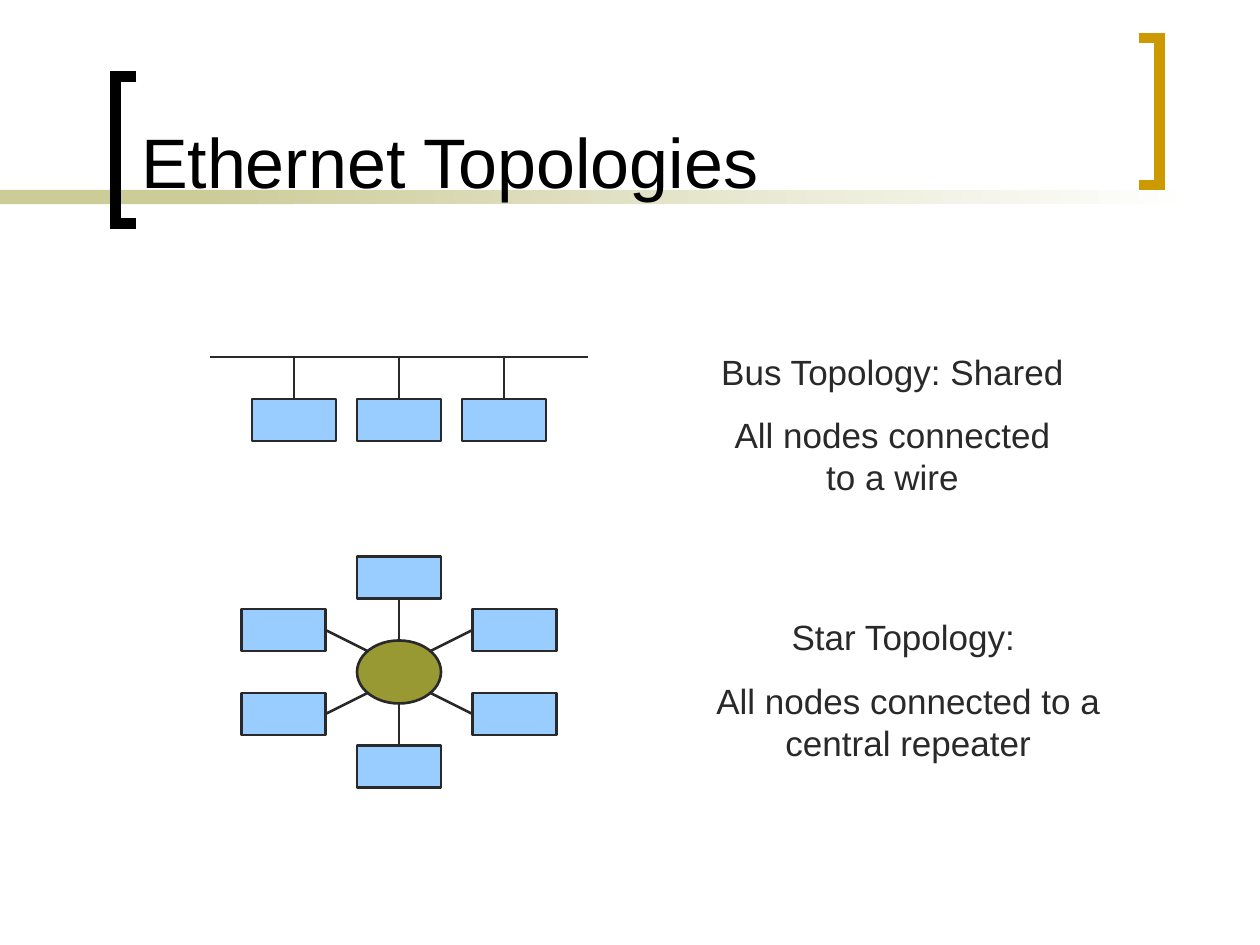
"""Build a slide comparing the bus and star Ethernet topologies."""
from typing import NamedTuple

from lxml import etree
from pptx import Presentation
from pptx.dml.color import RGBColor
from pptx.enum.shapes import MSO_CONNECTOR, MSO_SHAPE
from pptx.enum.text import MSO_ANCHOR, PP_ALIGN
from pptx.oxml.ns import qn
from pptx.util import Inches, Pt

RECTANGLE = MSO_SHAPE.RECTANGLE
OVAL = MSO_SHAPE.OVAL
STRAIGHT = MSO_CONNECTOR.STRAIGHT
TOP, LEFT, BOTTOM, RIGHT = range(4)

COLORS = {
    "band": "CCCC99",
    "paper": "FFFFFF",
    "title": "000000",
    "accent": "CC9900",
    "node": "99CCFF",
    "hub": "999933",
    "ink": "292929",
}
FONT = "Arial"
SLIDE_WIDTH, SLIDE_HEIGHT = Inches(10), Inches(7.5)
COLUMNS = 120
CELL = SLIDE_WIDTH / COLUMNS
NODE_WIDTH, NODE_HEIGHT = 8, 4
CENTER = 38
HUB_ROW = 64


class Area(NamedTuple):
    column: float
    row: float
    width: float
    height: float


class Bracket(NamedTuple):
    open_column: float
    spine_column: float
    row: float
    color: str


class Spoke(NamedTuple):
    node: Area
    side: int
    hub_point: tuple[float, float]


class Caption(NamedTuple):
    area: Area
    lines: tuple[str, ...]


BRACKETS = (
    Bracket(13, 11, 7.3, "title"),
    Bracket(108.45, 110.45, 3.6, "accent"),
)
BRACKET_HEIGHT = 14
BUS_ROW = 34
BUS_NODES = [Area(24 + 10 * index, 38, NODE_WIDTH, NODE_HEIGHT) for index in range(3)]
HUB = Area(CENTER - 4, HUB_ROW - 3, 8, 6)
SPOKES = [
    Spoke(Area(column, row, NODE_WIDTH, NODE_HEIGHT), side, (CENTER + dx, HUB_ROW + dy))
    for column, row, side, dx, dy in (
        (34, 53, BOTTOM, 0, -3),
        (45, 58, LEFT, 3, -2),
        (45, 66, LEFT, 3, 2),
        (34, 71, TOP, 0, 3),
        (23, 66, RIGHT, -3, 2),
        (23, 58, RIGHT, -3, -2),
    )
]
BUS_CAPTION = Caption(
    Area(67, 32.75, 36, 15.4), ("Bus Topology: Shared", "All nodes connected to a wire"))
STAR_CAPTION = Caption(
    Area(64, 58, 45, 15.4), ("Star Topology: ", "All nodes connected to a central repeater"))


def cells(*values: float) -> list[int]:
    return [round(value * CELL) for value in values]


def color(name: str) -> RGBColor:
    return RGBColor.from_string(COLORS[name])


def add_block(shapes, kind, area: Area, fill: str, outlined: bool = True):
    block = shapes.add_shape(kind, *cells(*area))
    block.shadow.inherit = False
    block.fill.solid()
    block.fill.fore_color.rgb = color(fill)
    if outlined:
        block.line.color.rgb = color("ink")
        block.line.width = Pt(1.5)
    else:
        block.line.fill.background()
    return block


def add_wire(shapes, start: tuple[float, float], end: tuple[float, float]):
    wire = shapes.add_connector(STRAIGHT, *cells(*start, *end))
    wire.line.color.rgb = color("ink")
    wire.line.width = Pt(1.5)
    etree.SubElement(wire._element.spPr, qn("a:effectLst"))
    return wire


def add_bracket(shapes, bracket: Bracket) -> None:
    bottom = bracket.row + BRACKET_HEIGHT
    builder = shapes.build_freeform(*cells(bracket.open_column, bracket.row))
    corners = (
        (bracket.spine_column, bracket.row),
        (bracket.spine_column, bottom),
        (bracket.open_column, bottom),
    )
    builder.add_line_segments([cells(*corner) for corner in corners], close=False)
    outline = builder.convert_to_shape()
    outline.shadow.inherit = False
    outline.fill.background()
    outline.line.color.rgb = color(bracket.color)
    outline.line.width = Pt(6)
    etree.SubElement(outline.line._get_or_add_ln(), qn("a:miter"), lim="800000")


def add_text(shapes, caption: Caption, size: float, ink: str, align, anchor) -> None:
    box = shapes.add_textbox(*cells(*caption.area))
    frame = box.text_frame
    frame.word_wrap = True
    frame.vertical_anchor = anchor
    frame.text = "\n".join(caption.lines)
    for index, para in enumerate(frame.paragraphs):
        para.alignment = align
        if index:
            para.space_before = Pt(12.5)
        for span in para.runs:
            span.font.name = FONT
            span.font.size = Pt(size)
            span.font.color.rgb = color(ink)


def add_band(shapes) -> None:
    add_block(shapes, RECTANGLE, Area(0, 18.1, 28, 1.35), "band", outlined=False)
    fade = add_block(shapes, RECTANGLE, Area(19, 18.1, 95, 1.35), "band", outlined=False)
    fade.fill.gradient()
    fade.fill.gradient_angle = 0
    for stop, name in zip(fade.fill.gradient_stops, ("band", "paper")):
        stop.color.rgb = color(name)
        stop.position = 0 if name == "band" else 1


def add_bus(shapes) -> None:
    nodes = [add_block(shapes, RECTANGLE, area, "node") for area in BUS_NODES]
    add_wire(shapes, (20, BUS_ROW), (56, BUS_ROW))
    for node, area in zip(nodes, BUS_NODES):
        middle = area.column + area.width / 2
        drop = add_wire(shapes, (middle, area.row), (middle, BUS_ROW))
        drop.begin_connect(node, TOP)
    add_text(shapes, BUS_CAPTION, 20, "ink", PP_ALIGN.CENTER, MSO_ANCHOR.TOP)


def add_star(shapes) -> None:
    nodes = [add_block(shapes, RECTANGLE, spoke.node, "node") for spoke in SPOKES]
    add_block(shapes, OVAL, HUB, "hub")
    for node, spoke in zip(nodes, SPOKES):
        wire = add_wire(shapes, spoke.hub_point, spoke.hub_point)
        wire.end_connect(node, spoke.side)
    add_text(shapes, STAR_CAPTION, 20, "ink", PP_ALIGN.CENTER, MSO_ANCHOR.TOP)


def main() -> None:
    deck = Presentation()
    deck.slide_width, deck.slide_height = SLIDE_WIDTH, SLIDE_HEIGHT
    page = deck.slides.add_slide(deck.slide_layouts[6])
    add_band(page.shapes)
    for bracket in BRACKETS:
        add_bracket(page.shapes, bracket)
    title = Caption(Area(12.25, 1.3, 94, 18.6), ("Ethernet Topologies",))
    add_text(page.shapes, title, 40, "title", PP_ALIGN.LEFT, MSO_ANCHOR.BOTTOM)
    add_bus(page.shapes.add_group_shape().shapes)
    add_star(page.shapes.add_group_shape().shapes)
    deck.save("out.pptx")


if __name__ == "__main__":
    main()
